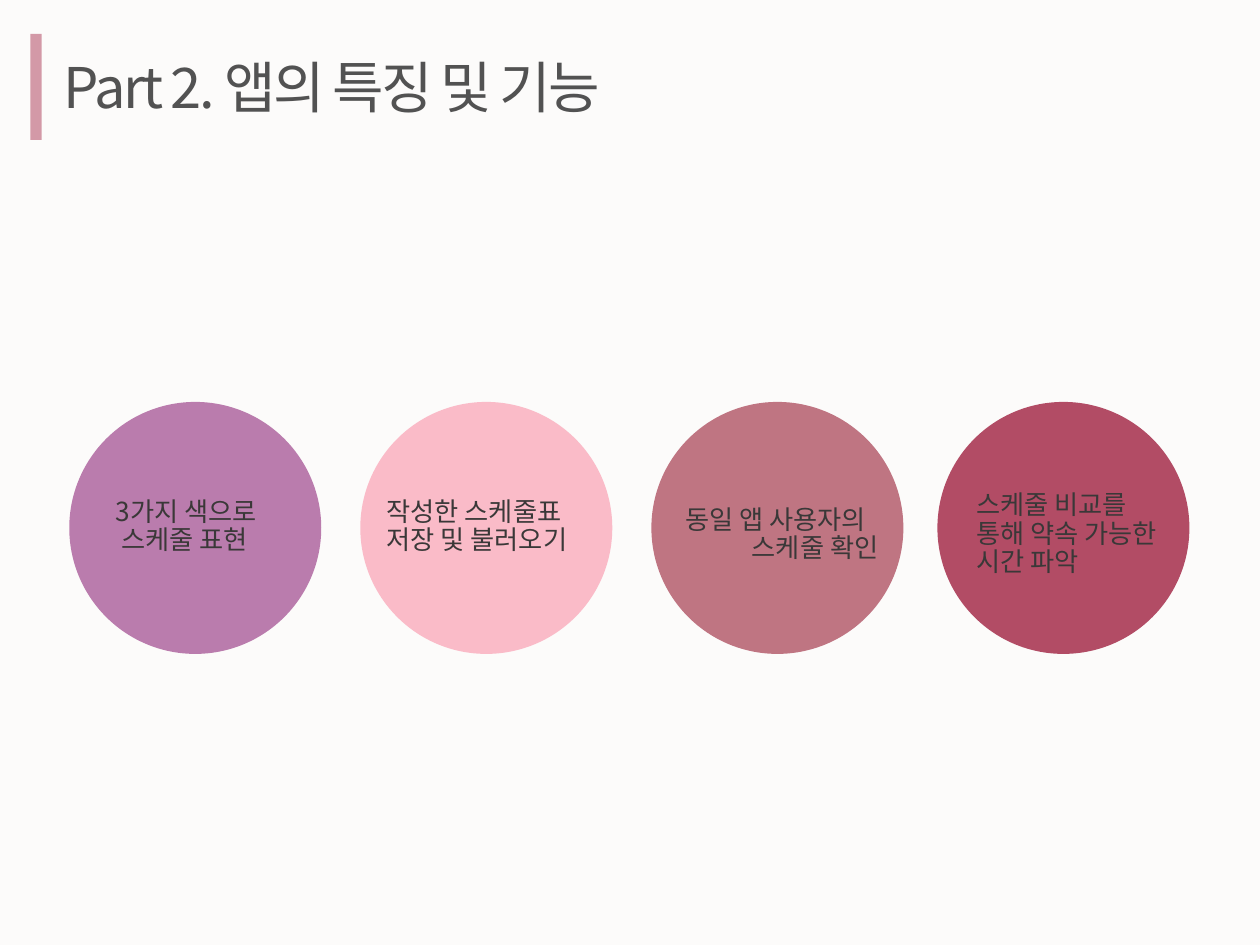
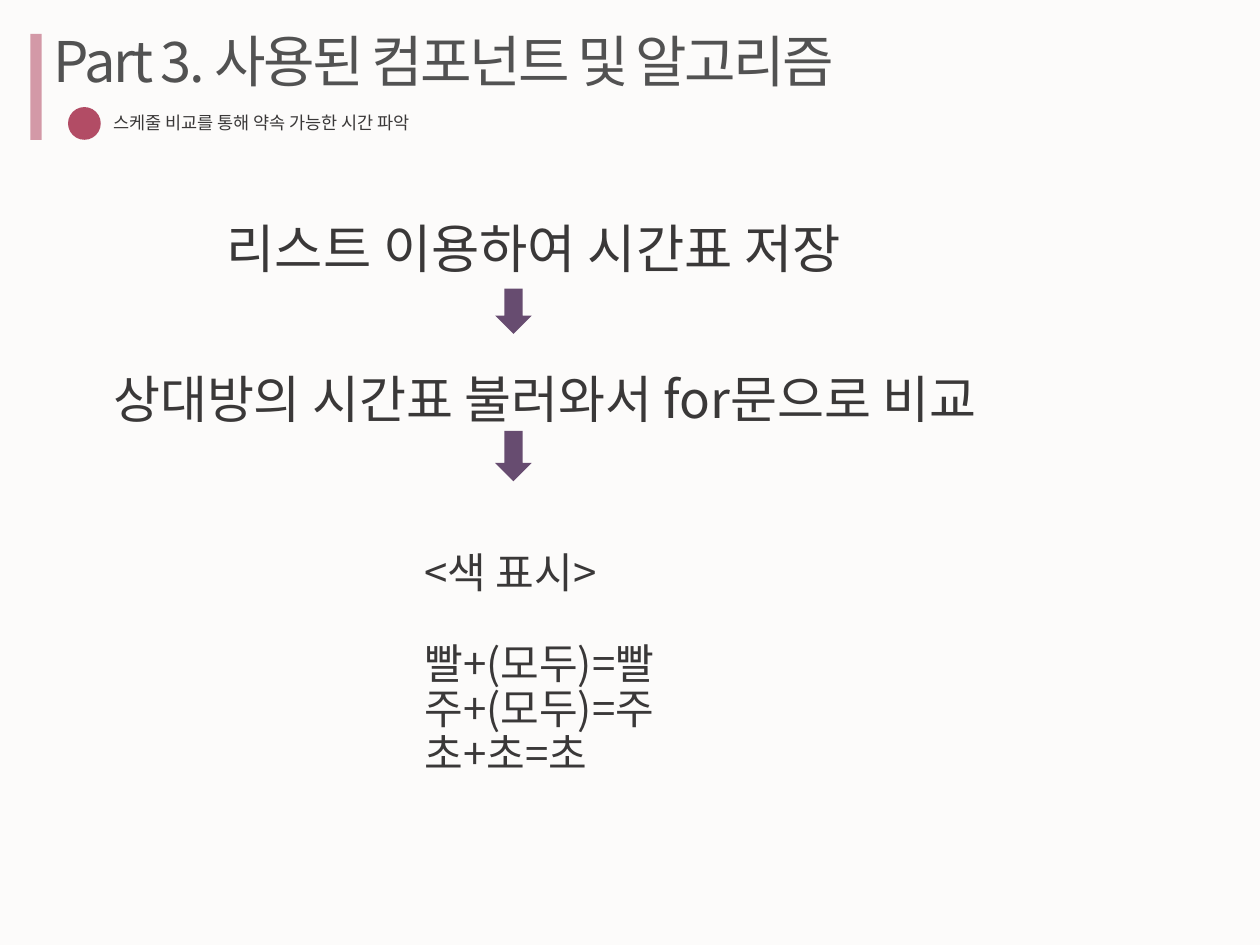
from dataclasses import dataclass

from lxml.etree import SubElement as Sub
from pptx import Presentation
from pptx.dml.color import RGBColor as RGB
from pptx.enum.shapes import MSO_SHAPE as Shape
from pptx.enum.text import MSO_ANCHOR as Anchor, PP_ALIGN as Align
from pptx.oxml.ns import qn
from pptx.slide import Slide
from pptx.util import Inches, Pt

FONT = "Noto Sans CJK KR"
PAPER = RGB(0xFC, 0xFB, 0xFA)
GREY = RGB(0x52, 0x52, 0x52)
INK = RGB(0x3A, 0x38, 0x38)
ROSE = RGB(0xD3, 0x99, 0xA7)
LILAC = RGB(0xBA, 0x7C, 0xAD)
PINK = RGB(0xFA, 0xBB, 0xC8)
DUSK = RGB(0xBF, 0x75, 0x82)
WINE = RGB(0xB2, 0x4C, 0x65)
PLUM = RGB(0x67, 0x4C, 0x70)


@dataclass
class Box:
    left: float
    top: float
    width: float
    height: float

    def place(self) -> tuple:
        return tuple(map(Inches, (self.left, self.top, self.width, self.height)))


@dataclass
class Line:
    text: str
    align: Align = Align.LEFT
    before: float = 0


@dataclass
class Note:
    box: Box
    size: float
    lines: list[Line]


@dataclass
class Disc:
    left: float
    color: RGB
    note: Note


def add_form(slide: Slide, kind: Shape, box: Box, color: RGB) -> None:
    form = slide.shapes.add_shape(kind, *box.place())
    form.shadow.inherit = False
    form.fill.solid()
    form.fill.fore_color.rgb = color
    form.line.fill.background()


def add_run(para, text: str, size: float, color: RGB, track: int = 0) -> None:
    run = para.add_run()
    run.text = text
    font = run.font
    font.size = Pt(size)
    font.name = FONT
    font.color.rgb = color
    props = run._r.get_or_add_rPr()
    Sub(props, qn("a:ea"), typeface=FONT)
    if track:
        props.set("spc", str(track))


def add_note(slide: Slide, note: Note) -> None:
    frame = slide.shapes.add_textbox(*note.box.place()).text_frame
    frame.word_wrap = True
    frame.vertical_anchor = Anchor.MIDDLE
    for i, line in enumerate(note.lines):
        para = frame.add_paragraph() if i else frame.paragraphs[0]
        para.line_spacing = 0.9
        para.alignment = line.align
        if line.before:
            para.space_before = Pt(line.before)
        for j, part in enumerate(line.text.split("\n")):
            if j:
                para.add_line_break()
            add_run(para, part, note.size, INK)


def add_page(deck, title: str, box: Box) -> Slide:
    slide = deck.slides.add_slide(deck.slide_layouts[6])
    fill = slide.background.fill
    fill.solid()
    fill.fore_color.rgb = PAPER
    add_form(slide, Shape.RECTANGLE, Box(0.24, 0.27, 0.09, 0.84), ROSE)
    frame = slide.shapes.add_textbox(*box.place()).text_frame
    frame.word_wrap = False
    add_run(frame.paragraphs[0], title, 32, GREY, -150)
    return slide


DISCS = [
    Disc(0.55, LILAC, Note(Box(0.82, 3.37, 1.46, 1.63), 15,
                           [Line("3가지 색으로\n 스케줄 표현")])),
    Disc(2.86, PINK, Note(Box(2.97, 3.37, 1.8, 1.63), 15,
                          [Line("작성한 스케줄표 저장 및 불러오기")])),
    Disc(5.17, DUSK, Note(Box(5.34, 3.43, 1.73, 1.63), 15,
                          [Line("동일 앱 사용자의"),
                           Line("스케줄 확인", Align.RIGHT)])),
    Disc(7.44, WINE, Note(Box(7.65, 3.43, 1.73, 1.63), 15,
                          [Line("스케줄 비교를 통해 약속 가능한 시간 파악")])),
]

STEPS = [
    Note(Box(0.8, 0.54, 2.88, 0.88), 10,
         [Line("스케줄 비교를 통해 약속 가능한 시간 파악")]),
    Note(Box(1.7, 1.63, 8.62, 0.74), 30,
         [Line("리스트 이용하여 시간표 저장")]),
    Note(Box(0.8, 2.82, 8.62, 0.74), 29.2,
         [Line("상대방의 시간표 불러와서 for문으로 비교")]),
    Note(Box(3.27, 3.97, 5.35, 2.62), 24,
         [Line("<색 표시>"), Line("빨+(모두)=빨", before=26),
          Line("주+(모두)=주"), Line("초+초=초")]),
]

ARROWS = [Box(3.93, 2.29, 0.29, 0.36), Box(3.93, 3.42, 0.29, 0.4)]


def main() -> None:
    deck = Presentation()
    deck.slide_width, deck.slide_height = Inches(10), Inches(7.5)

    slide = add_page(deck, "Part 2. 앱의 특징 및 기능", Box(0.41, 0.37, 4.7, 0.64))
    for disc in DISCS:
        add_form(slide, Shape.OVAL, Box(disc.left, 3.19, 2, 2), disc.color)
        add_note(slide, disc.note)

    slide = add_page(deck, "Part 3. 사용된 컴포넌트 및 알고리즘",
                     Box(0.33, 0.16, 7.04, 0.64))
    add_form(slide, Shape.OVAL, Box(0.54, 0.85, 0.26, 0.26), WINE)
    for step in STEPS:
        add_note(slide, step)
    for arrow in ARROWS:
        add_form(slide, Shape.DOWN_ARROW, arrow, PLUM)

    deck.save("out.pptx")


if __name__ == "__main__":
    main()
